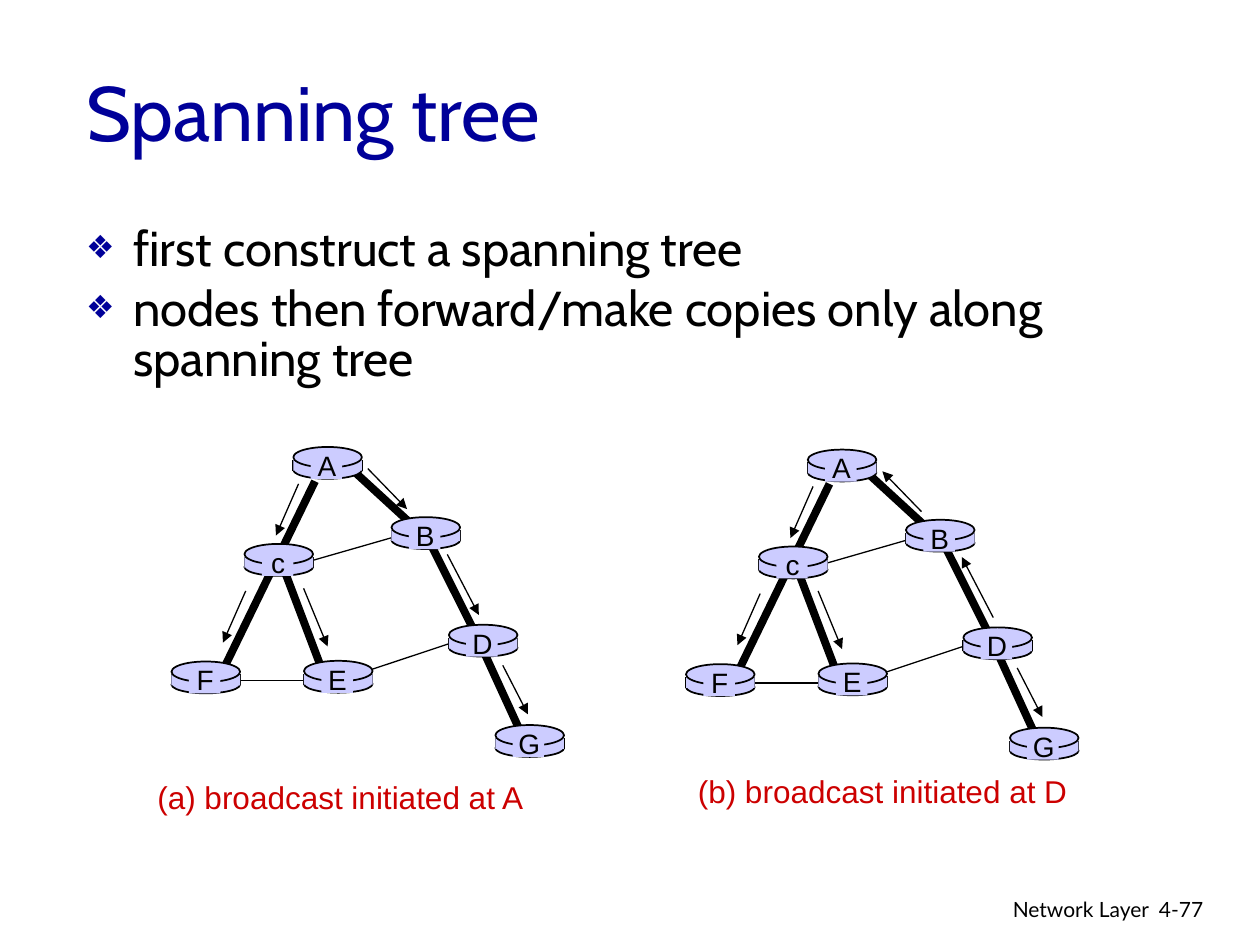
from lxml.etree import SubElement as Sub
from pptx import Presentation as Deck
from pptx.dml.color import RGBColor as Rgb
from pptx.enum.shapes import MSO_CONNECTOR as Link, MSO_SHAPE as Form
from pptx.enum.text import MSO_ANCHOR as Anchor, MSO_AUTO_SIZE as Fit, PP_ALIGN as Align
from pptx.oxml.ns import qn
from pptx.util import Pt

INK = {"black": "000000", "navy": "000099", "red": "CC0000", "lilac": "CCCCFF"}

TREE = [
    (244, 306.7, 270.7, 360),
    (271.4, 361.4, 298.8, 421.2),
    (183.6, 381.6, 162, 324.7),
    (203, 270, 238.3, 302.4),
    (180, 275, 126.7, 384.5),
]
SPARE = [
    (258.5, 367.2, 211, 383),
    (185.8, 388.8, 127.4, 388.8),
    (175.7, 321.1, 228.2, 306),
]
NODES = {
    "A": (167.6, 255.4),
    "B": (223.7, 295.5),
    "G": (283.1, 414.3),
    "D": (256.5, 357),
    "E": (173.7, 377.6),
    "c": (139.7, 310.8),
    "F": (98, 378),
}
FLOWS = {
    "Ac": (170.6, 276.5, 157.7, 306),
    "cF": (140.4, 337.7, 127.4, 367.2),
    "AB": (210.2, 267.8, 232.6, 290.9),
    "BD": (255.6, 316.8, 273.6, 351.4),
    "DG": (287.3, 380.2, 301.7, 408.2),
    "cE": (173.5, 336.2, 187.2, 369.4),
}


class Page:
    head = "Cabin"
    foot = "Lato"
    face = "Arial"

    def __init__(self, slide):
        self.slide = slide

    def style(self, para, font, size, ink):
        para.font.name = font
        para.font.size = Pt(size)
        para.font.color.rgb = Rgb.from_string(INK[ink])

    def place(self, shape, x, y, w, h):
        shape.left, shape.top, shape.width, shape.height = map(Pt, (x, y, w, h))

    def title(self, text, *box):
        shape = self.slide.shapes.title
        self.place(shape, *box)
        frame = shape.text_frame
        frame.text = text
        frame.auto_size = Fit.NONE
        frame.vertical_anchor = Anchor.MIDDLE
        para = frame.paragraphs[0]
        para.alignment = Align.LEFT
        self.style(para, self.head, 44, "navy")

    def body(self, items, *box):
        shape = self.slide.placeholders[1]
        self.place(shape, *box)
        frame = shape.text_frame
        frame.text = "\n".join(items)
        frame.auto_size = Fit.NONE
        for rank, para in enumerate(frame.paragraphs):
            para.line_spacing = 0.85
            para.space_before = Pt(5.6 if rank else 0)
            prop = para._p.get_or_add_pPr()
            prop.set("marL", str(Pt(27)))
            prop.set("indent", str(Pt(-27)))
            Sub(Sub(prop, qn("a:buClr")), qn("a:srgbClr"), val=INK["navy"])
            Sub(prop, qn("a:buSzPct"), val="65000")
            Sub(prop, qn("a:buChar"), char="❖")
            self.style(para, self.head, 28, "black")

    def text(self, text, x, y, w, h, font, size, ink="black", align=Align.LEFT, wrap=False):
        box = self.slide.shapes.add_textbox(*map(Pt, (x, y, w, h)))
        frame = box.text_frame
        frame.word_wrap = wrap
        frame.text = text
        para = frame.paragraphs[0]
        para.alignment = align
        self.style(para, font, size, ink)

    def shape(self, form, x, y, w, h, edge=False):
        item = self.slide.shapes.add_shape(form, *map(Pt, (x, y, w, h)))
        item.shadow.inherit = False
        item.fill.solid()
        item.fill.fore_color.rgb = Rgb.from_string(INK["lilac"])
        if edge:
            item.line.color.rgb = Rgb.from_string(INK["black"])
            item.line.width = Pt(1)
        else:
            item.line.fill.background()

    def line(self, ends, width, arrow=False):
        link = self.slide.shapes.add_connector(Link.STRAIGHT, *map(Pt, ends))
        link.line.color.rgb = Rgb.from_string(INK["black"])
        link.line.width = Pt(width)
        if arrow:
            Sub(link.line._get_or_add_ln(), qn("a:tailEnd"), type="triangle")
        Sub(link._element.spPr, qn("a:effectLst"))

    def node(self, name, x, y):
        self.shape(Form.OVAL, x, y + 8.2, 39.2, 10, True)
        for side in (x, x + 39.2):
            self.line((side, y + 7.4, side, y + 13.6), 1)
        self.shape(Form.RECTANGLE, x, y + 7.4, 39.2, 6.2)
        self.shape(Form.OVAL, x, y, 39.2, 11.7, True)
        self.shape(Form.RECTANGLE, x + 9.9, y + 1.7, 18, 16.6)
        self.text(name, x + 6, y - 2.7, 26.4, 26.6, self.face, 16, align=Align.CENTER)

    def graph(self, dx, dy, back=()):
        def move(ends):
            a, b, c, d = ends
            return a + dx, b + dy, c + dx, d + dy

        for edges, width in ((TREE, 4.5), (SPARE, 0.75)):
            for ends in edges:
                self.line(move(ends), width)
        for name, (x, y) in NODES.items():
            self.node(name, x + dx, y + dy)
        for name, ends in FLOWS.items():
            a, b, c, d = move(ends)
            self.line((c, d, a, b) if name in back else (a, b, c, d), 0.75, True)


def main():
    deck = Deck()
    deck.slide_width, deck.slide_height = Pt(720), Pt(540)
    page = Page(deck.slides.add_slide(deck.slide_layouts[1]))
    page.text("Network Layer", 435.6, 509, 228.2, 22, page.foot, 12, align=Align.RIGHT, wrap=True)
    page.text("4-77", 655.2, 509, 53.3, 22, page.foot, 12, wrap=True)
    page.graph(0, 0)
    page.graph(294, 1.5, back=("AB", "BD"))
    page.text("(a) broadcast initiated at A", 82.8, 440.8, 224.6, 28.8, page.face, 18, "red")
    page.text("(b) broadcast initiated at D", 391.7, 437.5, 225.4, 28.8, page.face, 18, "red")
    page.title("Spanning tree", 42, 18, 612, 90)
    page.body([
        "first construct a spanning tree",
        "nodes then forward/make copies only along spanning tree",
    ], 42, 126, 612, 146)
    deck.save("out.pptx")


if __name__ == "__main__":
    main()
